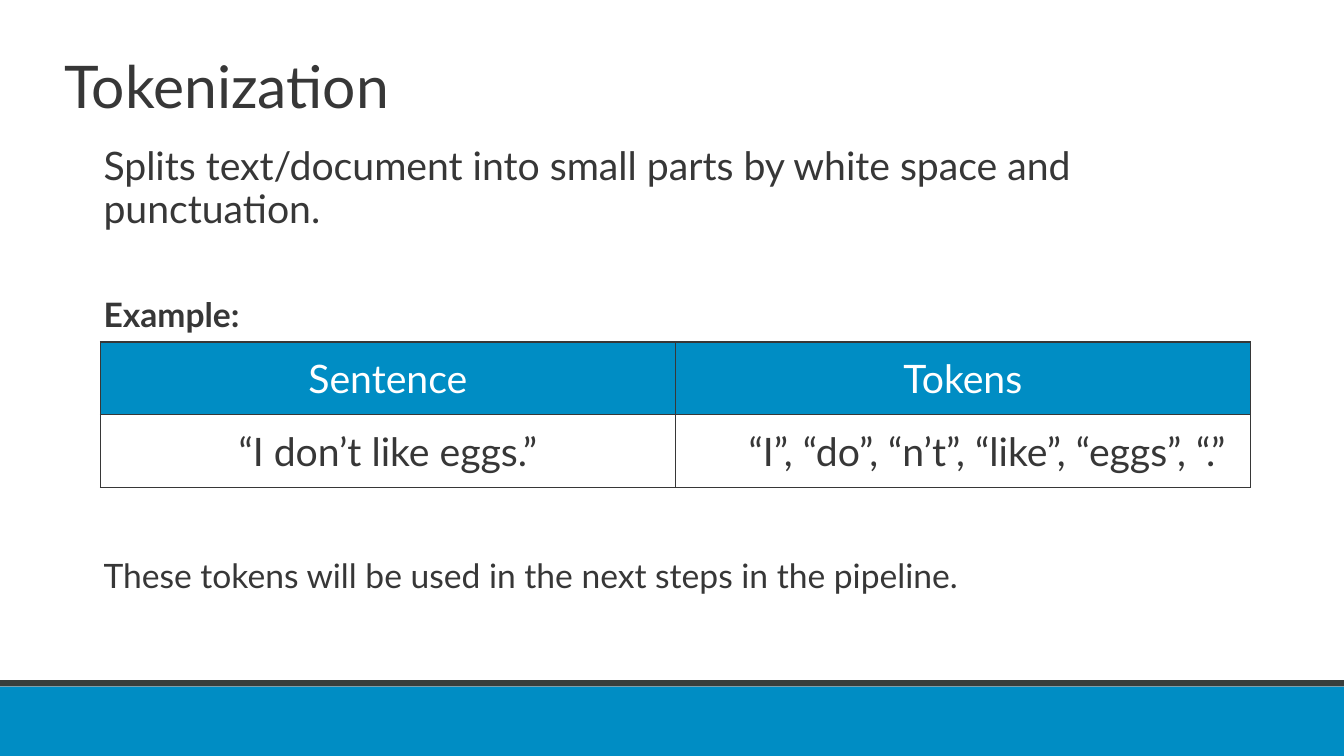
from pptx import Presentation
from pptx.dml.color import RGBColor
from pptx.enum.shapes import MSO_SHAPE
from pptx.enum.text import MSO_ANCHOR, PP_ALIGN
from pptx.oxml import parse_xml
from pptx.oxml.ns import nsdecls
from pptx.util import Cm, Pt

COLORS = {"blue": "008DC4", "bar": "383D3B", "text": "373737", "white": "FFFFFF"}


def style_text(paragraph, size, color, bold=False):
    font = paragraph.runs[0].font
    font.name = "Lato"
    font.size = Pt(size)
    font.bold = bold
    font.color.rgb = RGBColor.from_string(COLORS[color])


def add_text(left, top, width, height, lines):
    frame = slide.shapes.add_textbox(Cm(left), Cm(top), Cm(width), Cm(height)).text_frame
    frame.word_wrap = True
    frame.text = "\n".join(text for text, *_ in lines)
    for paragraph, (_, size, bold, before) in zip(frame.paragraphs, lines):
        paragraph.line_spacing = 0.9
        paragraph.space_before = Pt(before)
        style_text(paragraph, size, "text", bold)


prs = Presentation()
prs.slide_width = Cm(33.87)
prs.slide_height = Cm(19.05)
slide = prs.slides.add_slide(prs.slide_layouts[6])

for top, height, color in [(17.3, 1.75, "blue"), (17.14, 0.16, "bar")]:
    band = slide.shapes.add_shape(MSO_SHAPE.RECTANGLE, 0, Cm(top), prs.slide_width, Cm(height))
    band.shadow.inherit = False
    band.fill.solid()
    band.fill.fore_color.rgb = RGBColor.from_string(COLORS[color])
    band.line.fill.background()

add_text(1.37, 1.32, 29.2, 2.77, [("Tokenization", 42, False, 0)])
add_text(2.36, 3.58, 30.12, 13.54, [
    ("Splits text/document into small parts by white space and punctuation.", 28, False, 0),
    ("Example:", 24, True, 48),
    ("These tokens will be used in the next steps in the pipeline.", 24, False, 160),
])

token_rows = [
    ("Sentence", "Tokens"),
    ("“I don’t like eggs.”", "“I”, “do”, “n’t”, “like”, “eggs”, “.”"),
]
token_table = slide.shapes.add_table(2, 2, Cm(2.53), Cm(8.62), Cm(28.98), Cm(3.66)).table
for row in token_table.rows:
    row.height = Cm(1.83)

for row_index, texts in enumerate(token_rows):
    is_header = row_index == 0
    for column_index, text in enumerate(texts):
        cell = token_table.cell(row_index, column_index)
        cell.text_frame.text = text
        cell.vertical_anchor = MSO_ANCHOR.MIDDLE
        paragraph = cell.text_frame.paragraphs[0]
        paragraph.alignment = PP_ALIGN.CENTER
        style_text(paragraph, 28, "white" if is_header else "text")
        cell_properties = cell._tc.get_or_add_tcPr()
        for side in "LRTB":
            cell_properties.append(parse_xml(
                f'<a:ln{side} {nsdecls("a")} w="12700"><a:solidFill>'
                f'<a:srgbClr val="{COLORS["text"]}"/></a:solidFill></a:ln{side}>'))
        if is_header:
            cell.fill.solid()
            cell.fill.fore_color.rgb = RGBColor.from_string(COLORS["blue"])
        else:
            cell.fill.background()

token_list = token_table.cell(1, 1).text_frame.paragraphs[0]
token_list.level = 1
indents = token_list._p.get_or_add_pPr()
indents.set("marL", str(Cm(2.49)))
indents.set("indent", str(Cm(-1.27)))

prs.save("out.pptx")
